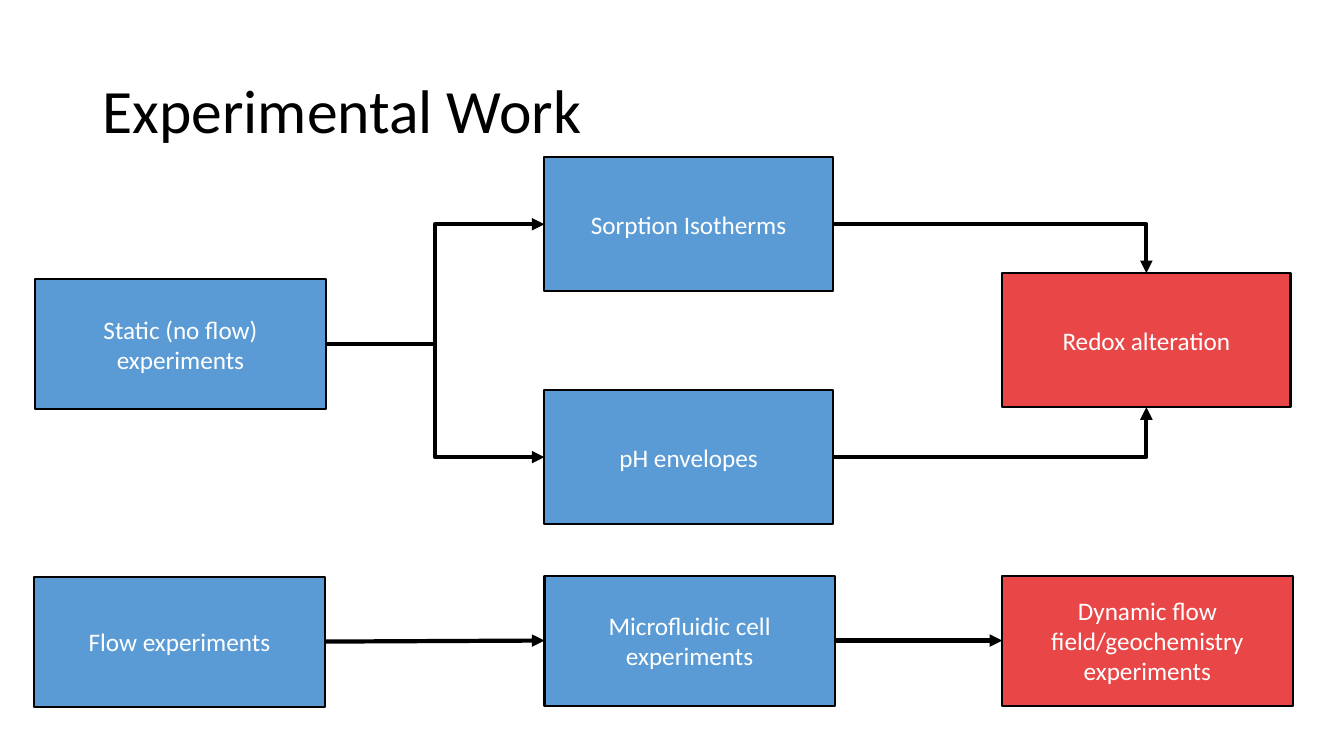
from lxml.etree import SubElement
from pptx import Presentation
from pptx.dml.color import RGBColor
from pptx.enum.shapes import MSO_CONNECTOR, MSO_SHAPE
from pptx.enum.text import MSO_ANCHOR, PP_ALIGN
from pptx.oxml.ns import qn
from pptx.util import Pt

EMU_PER_PX = 9144  # 100 px to the inch
BLACK = RGBColor(0x00, 0x00, 0x00)
WHITE = RGBColor(0xFF, 0xFF, 0xFF)
BLUE = RGBColor(0x5B, 0x9B, 0xD5)
RED = RGBColor(0xE9, 0x47, 0x47)
FONT = "Calibri"

# Connection sites of a rectangle
TOP, LEFT, BOTTOM, RIGHT = range(4)


def px(*lengths):
    return [length * EMU_PER_PX for length in lengths]


def write(shape, text, size, color, align):
    frame = shape.text_frame
    frame.word_wrap = True
    frame.vertical_anchor = MSO_ANCHOR.MIDDLE
    para = frame.paragraphs[0]
    para.text = text
    para.alignment = align
    para.font.name = FONT
    para.font.size = Pt(size)
    para.font.color.rgb = color
    return para


def add_title(page, text):
    box = page.shapes.add_textbox(*px(92, 40, 1150, 145))
    write(box, text, 44, BLACK, PP_ALIGN.LEFT).line_spacing = 0.9


def add_step(page, text, left, top, width, height, fill=BLUE):
    box = page.shapes.add_shape(MSO_SHAPE.RECTANGLE, *px(left, top, width, height))
    box.shadow.inherit = False
    box.fill.solid()
    box.fill.fore_color.rgb = fill
    box.line.color.rgb = BLACK
    box.line.width = Pt(1.5)
    write(box, text, 18, WHITE, PP_ALIGN.CENTER)
    return box


def add_arrow(page, source, target, kind=MSO_CONNECTOR.STRAIGHT, entry=LEFT):
    """Join the right side of source to the entry side of target."""
    arrow = page.shapes.add_connector(kind, 0, 0, 0, 0)
    arrow.begin_connect(source, RIGHT)
    arrow.end_connect(target, entry)
    arrow.line.color.rgb = BLACK
    arrow.line.width = Pt(3)
    properties = arrow._element.spPr
    SubElement(properties.find(qn("a:ln")), qn("a:tailEnd"), type="triangle")
    SubElement(properties, qn("a:effectLst"))
    if entry != LEFT:  # a single corner instead of two
        properties.find(qn("a:prstGeom")).set("prst", "bentConnector2")


def main():
    deck = Presentation()
    deck.slide_width, deck.slide_height = px(1333, 750)
    page = deck.slides.add_slide(deck.slide_layouts[6])

    add_title(page, "Experimental Work")

    static = add_step(page, "Static (no flow) experiments", 35, 277, 288, 129)
    sorption = add_step(page, "Sorption Isotherms", 540, 156, 286, 133)
    envelopes = add_step(page, "pH envelopes", 540, 387, 286, 133)
    redox = add_step(page, "Redox alteration", 994, 271, 286, 133, RED)
    for analysis, entry in ((sorption, TOP), (envelopes, BOTTOM)):
        add_arrow(page, static, analysis, MSO_CONNECTOR.ELBOW)
        add_arrow(page, analysis, redox, MSO_CONNECTOR.ELBOW, entry)

    flow = add_step(page, "Flow experiments", 34, 572, 288, 129)
    cell = add_step(page, "Microfluidic cell experiments", 540, 571, 288, 129)
    dynamic = add_step(page, "Dynamic flow field/geochemistry experiments",
                       994, 571, 288, 129, RED)
    add_arrow(page, flow, cell)
    add_arrow(page, cell, dynamic)

    deck.save("out.pptx")


if __name__ == "__main__":
    main()
